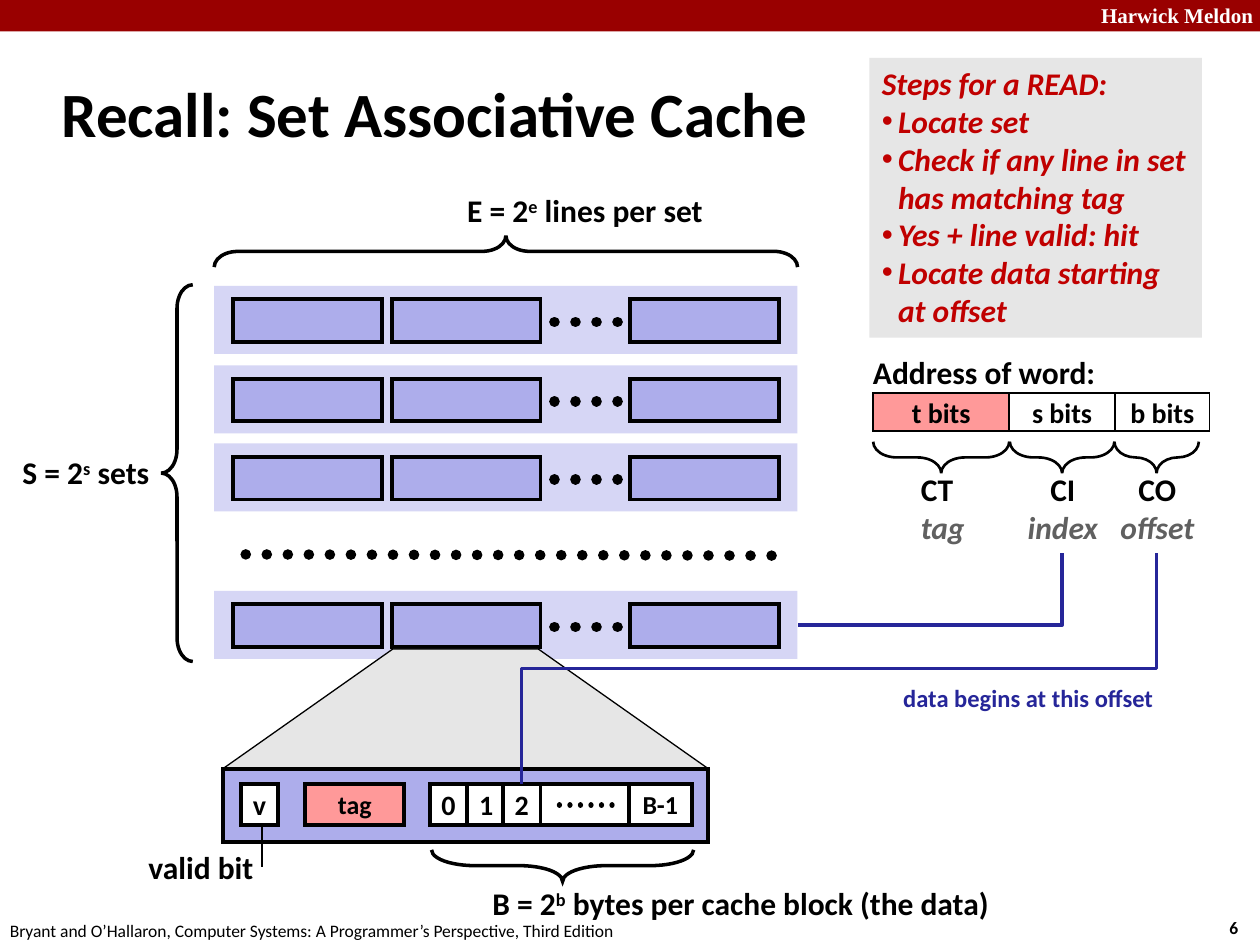
from lxml.etree import SubElement
from pptx import Presentation
from pptx.dml.color import RGBColor
from pptx.enum.dml import MSO_LINE
from pptx.enum.shapes import MSO_CONNECTOR, MSO_SHAPE
from pptx.enum.text import MSO_ANCHOR, MSO_AUTO_SIZE, PP_ALIGN
from pptx.oxml.ns import qn
from pptx.util import Inches, Pt

THEME = {
    "font": "Calibri", "serif": "Times New Roman",
    "black": "000000", "white": "FFFFFF", "banner": "990000", "step": "C00000",
    "set": "D6D6F5", "line": "ADADEB", "tag": "FF9999", "panel": "E6E6E6",
    "muted": "606060", "path": "262699",
    "title": 36, "body": 18, "cell": 16, "small": 14.8, "note": 14,
    "brand": 12, "foot": 10,
    "thick": 2.25, "brace": 2, "thin": 0.75,
}
T = THEME

prs = Presentation()
prs.slide_width, prs.slide_height = Inches(10), Inches(7.5)
slide = prs.slides.add_slide(prs.slide_layouts[6])
CELL = prs.slide_width / 100  # the grid has 100 columns and 75 rows


def draw(kind, box, fill=None, line=None, paras=(), size="body", color="black",
         align=PP_ALIGN.LEFT, anchor=MSO_ANCHOR.TOP, **font):
    """Draw a shape, or a text box when kind is None; ^x^ is superscript."""
    box = [round(v * CELL) for v in box]
    if kind is None:
        sp = slide.shapes.add_textbox(*box)
    else:
        sp = slide.shapes.add_shape(kind, *box)
        sp.shadow.inherit = False
        if fill:
            sp.fill.solid()
            sp.fill.fore_color.rgb = RGBColor.from_string(T[fill])
        else:
            sp.fill.background()
        if line:
            sp.line.color.rgb = RGBColor.from_string(T["black"])
            sp.line.width = Pt(line)
            SubElement(sp.line._get_or_add_ln(), qn("a:miter"), lim="800000")
        else:
            sp.line.fill.background()
    tf = sp.text_frame
    tf.word_wrap = False
    tf.vertical_anchor = anchor
    if kind is None:
        tf.auto_size = MSO_AUTO_SIZE.SHAPE_TO_FIT_TEXT
    for i, para in enumerate(paras):
        words, own = para if isinstance(para, tuple) else (para, {})
        p = tf.add_paragraph() if i else tf.paragraphs[0]
        p.alignment = align
        look = {"name": T["font"], "size": Pt(T[size]), "bold": True, **font, **own}
        tint = look.pop("tint", color)
        for row, text in enumerate(words.split("\n")):
            if row:
                p.add_line_break()
            for j, part in enumerate(text.split("^")):
                r = p.add_run()
                r.text = part
                for key, value in look.items():
                    setattr(r.font, key, value)
                r.font.color.rgb = RGBColor.from_string(T[tint])
                if j % 2:
                    r._r.get_or_add_rPr().set("baseline", "30000")
    return sp


def link(kind, ends, width, color="black", dotted=False):
    """Draw a connector between two grid points."""
    c = slide.shapes.add_connector(kind, *[round(v * CELL) for v in ends])
    c.line.color.rgb = RGBColor.from_string(T[color])
    c.line.width = Pt(width)
    if dotted:
        c.line.dash_style = MSO_LINE.ROUND_DOT
        c.line._get_or_add_ln().set("cap", "rnd")
    SubElement(c._element.spPr, qn("a:effectLst"))
    return c


RECT, STRAIGHT = MSO_SHAPE.RECTANGLE, MSO_CONNECTOR.STRAIGHT
MIDDLE = {"align": PP_ALIGN.CENTER, "anchor": MSO_ANCHOR.MIDDLE}

# Banner, footer and title
draw(RECT, (0, 0, 100, 2.5), "banner")
draw(None, (86.4, -0.3, 14.3, 3), paras=["Harwick Meldon"], size="brand",
     color="white", name=T["serif"])
draw(None, (96.6, 72.3, 3.7, 2.7), paras=["6"], size="foot")
draw(None, (-0.2, 72.5, 50.8, 2.7), size="foot", bold=False, paras=[
    "Bryant and O’Hallaron, Computer Systems: A Programmer’s Perspective, Third Edition"])
draw(None, (3.9, 4.8, 83, 8.3), paras=["Recall: Set Associative Cache"],
     size="title", anchor=MSO_ANCHOR.MIDDLE)

# Sets, each with its lines
for top in (22.7, 29, 35.2, 46.9):
    draw(RECT, (17, top, 46.3, 5.4), "set")
    for left in (18.5, 31.1, 50):
        draw(RECT, (left, top + 1.05, 11.8, 3.4), "line", T["thick"])
    link(STRAIGHT, (44, top + 2.85, 50.1, top + 2.85), 6, dotted=True)
link(STRAIGHT, (19.5, 44, 61.9, 44.1), 6, dotted=True)

# One line enlarged into its block
zoom = draw(MSO_SHAPE.TRAPEZOID, (17.7, 51.5, 38.5, 9.5), "panel", T["thin"])
zoom.adjustments[0] = 1.42
draw(RECT, (17.7, 61, 38.5, 5.8), "line", T["thick"])
for left, width, fill, label, size in (
        (34.1, 3, "white", "0", "cell"), (37.1, 3, "white", "1", "cell"),
        (39.9, 3, "white", "2", "cell"), (49.9, 5, "white", "B-1", "small"),
        (42.9, 7, "white", "", "cell"), (24.2, 7.9, "tag", "tag", "small"),
        (19.1, 3, "white", "v", "cell")):
    draw(RECT, (left, 62.2, width, 3.3), fill, T["thick"],
         [label] if label else (), size, **MIDDLE)
link(STRAIGHT, (44.4, 63.9, 49.4, 63.9), 3, dotted=True)
link(STRAIGHT, (20.8, 68.8, 20.8, 65.5), T["thin"])

# Address fields
for left, width, fill, label in ((69.3, 10.8, "tag", "t bits"),
                                 (80.1, 8.4, "white", "s bits"),
                                 (88.5, 7.5, "white", "b bits")):
    draw(RECT, (left, 31.2, width, 3), fill, 1, [label], "cell", **MIDDLE)

# Braces: visible centre, span, turn, curl, weight
for cx, cy, span, turn, curl, weight in (
        (40.15, 19.95, 46.3, 90, 0.75, T["brace"]),
        (14.05, 37.55, 29.9, 0, 0.75, T["brace"]),
        (44.65, 68.7, 20.8, 270, 1.37, T["brace"]),
        (74.7, 36.3, 10.8, 270, 0.75, 1.5),
        (84.3, 36.3, 8.3, 270, 0.75, 1.5),
        (91.8, 36.3, 6.7, 270, 0.75, 1.5)):
    sp = draw(MSO_SHAPE.LEFT_BRACE, (cx - 1.25, cy - span / 2, 2.5, span), line=weight)
    sp.rotation = turn
    sp.adjustments[0] = curl

# Labels
for left, top, width, label in (
        (38.1, 69.7, 41.9, "B = 2^b^ bytes per cache block (the data)"),
        (36.1, 14.7, 21.4, "E = 2^e^ lines per set"),
        (0.8, 35.5, 12.3, "S = 2^s^ sets"),
        (10.8, 66.8, 10.4, "valid bit"),
        (68.3, 27.5, 19.8, "Address of word:")):
    draw(None, (left, top, width, 4), paras=[label])
for left, width, code, role, align in (
        (72.1, 5.5, "CT", "tag", PP_ALIGN.LEFT),
        (80.5, 7.7, "CI", "index", PP_ALIGN.CENTER),
        (87.8, 8.1, "CO", "offset", PP_ALIGN.CENTER)):
    draw(None, (left, 36.8, width, 7.1), align=align,
         paras=[code, (role, {"italic": True, "tint": "muted"})])
draw(None, (70.7, 53.7, 22, 3.4), paras=["data begins at this offset"],
     size="note", color="path")

# Elbow paths leave downwards, so each is laid out on its side and turned 90°
for x0, y0, x1, y1, bend in ((84.3, 43.9, 63.3, 49.6, "bentConnector2"),
                             (91.8, 43.9, 41.4, 62.2, "bentConnector3")):
    cx, cy, dx, dy = (x0 + x1) / 2, (y0 + y1) / 2, (y1 - y0) / 2, (x0 - x1) / 2
    c = link(MSO_CONNECTOR.ELBOW, (cx - dx, cy - dy, cx + dx, cy + dy), 2, "path")
    c._element.spPr.find(qn("a:prstGeom")).set("prst", bend)
    c._element.spPr.find(qn("a:xfrm")).set("rot", "5400000")

# Steps panel
steps = draw(RECT, (69, 4.6, 26.4, 22.2), "panel", color="step", italic=True, paras=[
    "Steps for a READ:", "Locate set", "Check if any line in set\nhas matching tag",
    "Yes + line valid: hit", "Locate data starting\nat offset"])
for p in steps.text_frame.paragraphs[1:]:
    pPr = p._p.get_or_add_pPr()
    pPr.set("marL", str(Inches(0.13)))
    pPr.set("indent", str(-Inches(0.13)))
    SubElement(pPr, qn("a:buFont"), typeface="Arial")
    SubElement(pPr, qn("a:buChar"), char="•")

prs.save("out.pptx")
